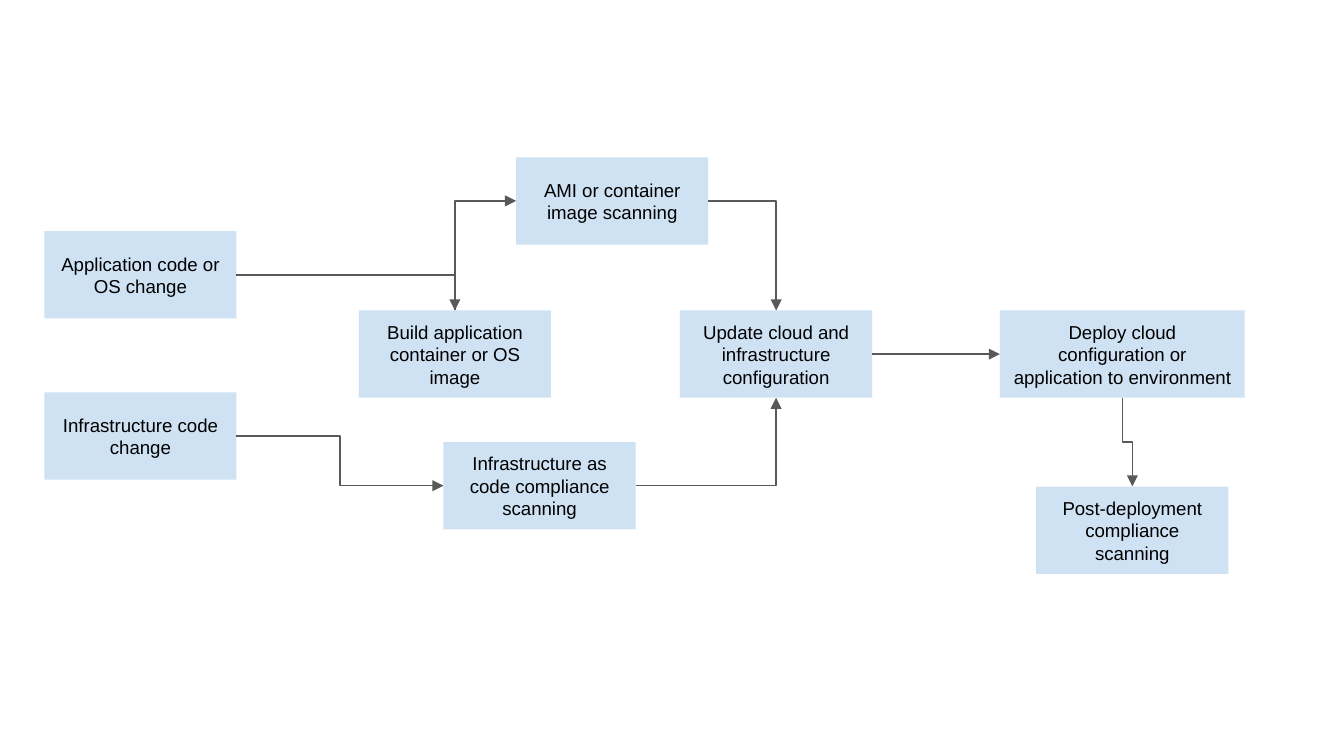
from dataclasses import dataclass

from lxml.etree import SubElement
from pptx import Presentation
from pptx.dml.color import RGBColor as RGB
from pptx.enum.shapes import MSO_CONNECTOR as Link, MSO_SHAPE as Shape
from pptx.enum.text import MSO_ANCHOR as Anchor, PP_ALIGN as Align
from pptx.oxml.ns import qn
from pptx.util import Inches, Pt

TOP, LEFT, BOTTOM, RIGHT = range(4)


@dataclass(frozen=True)
class Theme:
    """Colours, type and line sizes of the flow chart."""
    step_fill: RGB = RGB(0xCF, 0xE2, 0xF3)
    ink: RGB = RGB(0, 0, 0)
    arrow: RGB = RGB(0x59, 0x59, 0x59)
    font: str = "Arial"
    step_size: float = 10
    arrow_width: float = 0.75


THEME = Theme()
STEP_WIDTH, STEP_HEIGHT = 1.43, 0.65
MARGIN, BUILD_ROW = 0.33, 2.31

STEPS = {
    "build": ("Build application container or OS image", 2.67, BUILD_ROW, STEP_WIDTH),
    "deploy": ("Deploy cloud configuration or application to environment", 7.44, BUILD_ROW, 1.82),
    "update": ("Update cloud and infrastructure configuration", 5.06, BUILD_ROW, STEP_WIDTH),
    "app_change": ("Application code or OS change", MARGIN, 1.72, STEP_WIDTH),
    "infra_change": ("Infrastructure code change", MARGIN, 2.92, STEP_WIDTH),
    "image_scan": ("AMI or container image scanning", 3.84, 1.17, STEP_WIDTH),
    "infra_scan": ("Infrastructure as code compliance scanning", 3.3, 3.29, STEP_WIDTH),
    "post_scan": ("Post-deployment compliance scanning", 7.71, 3.62, STEP_WIDTH),
}

FLOWS = [
    ("app_change", RIGHT, "build", TOP),
    ("infra_change", RIGHT, "infra_scan", LEFT),
    ("build", TOP, "image_scan", LEFT),
    ("update", RIGHT, "deploy", LEFT),
    ("image_scan", RIGHT, "update", TOP),
    ("infra_scan", RIGHT, "update", BOTTOM),
    ("deploy", BOTTOM, "post_scan", TOP),
]


def write_text(shape, text, *, size, color, font, align=Align.CENTER, anchor=Anchor.MIDDLE, inset=0.1):
    """Put formatted, wrapping text in a shape."""
    frame = shape.text_frame
    frame.word_wrap = True
    frame.vertical_anchor = anchor
    frame.margin_left = frame.margin_right = Inches(inset)
    frame.margin_top = frame.margin_bottom = Inches(inset)
    paragraph = frame.paragraphs[0]
    paragraph.alignment = align
    run = paragraph.add_run()
    run.text = text
    run.font.size = Pt(size)
    run.font.name = font
    run.font.color.rgb = color


def add_step(slide, text, left, top, width):
    """Add one process step and return it."""
    step = slide.shapes.add_shape(
        Shape.RECTANGLE, Inches(left), Inches(top), Inches(width), Inches(STEP_HEIGHT))
    step.shadow.inherit = False
    step.fill.solid()
    step.fill.fore_color.rgb = THEME.step_fill
    step.line.fill.background()
    write_text(step, text, size=THEME.step_size, color=THEME.ink, font=THEME.font)
    return step


def start_vertically(flow):
    """Turn an elbow running rightwards so that it leaves its step vertically."""
    across, down = flow.end_x - flow.begin_x, flow.end_y - flow.begin_y
    center_x, center_y = flow.begin_x + across // 2, flow.begin_y + down // 2
    flow.width, flow.height = abs(down), abs(across)
    flow.left, flow.top = center_x - flow.width // 2, center_y - flow.height // 2
    xfrm = flow._element.spPr.find(qn("a:xfrm"))
    xfrm.set("rot", str(270 * 60000))
    xfrm.set("flipH", str(int(down > 0)))
    xfrm.set("flipV", "0")


def add_flow(slide, source, source_side, target, target_side):
    """Join two steps with an elbow arrow."""
    flow = slide.shapes.add_connector(Link.ELBOW, 0, 0, 0, 0)
    flow.begin_connect(source, source_side)
    flow.end_connect(target, target_side)
    flow.line.color.rgb = THEME.arrow
    flow.line.width = Pt(THEME.arrow_width)
    properties = flow._element.spPr
    SubElement(properties.find(qn("a:ln")), qn("a:tailEnd"), type="triangle")
    SubElement(properties, qn("a:effectLst"))
    if source_side % 2 != target_side % 2:
        properties.find(qn("a:prstGeom")).set("prst", "bentConnector2")
    if source_side in (TOP, BOTTOM):
        start_vertically(flow)


def main():
    """Build and save the compliance scanning flow."""
    deck = Presentation()
    deck.slide_width = Inches(10)
    deck.slide_height = deck.slide_width * 9 // 16
    slide = deck.slides.add_slide(deck.slide_layouts[6])
    steps = {name: add_step(slide, *step) for name, step in STEPS.items()}
    for source, source_side, target, target_side in FLOWS:
        add_flow(slide, steps[source], source_side, steps[target], target_side)
    deck.save("out.pptx")


if __name__ == "__main__":
    main()
